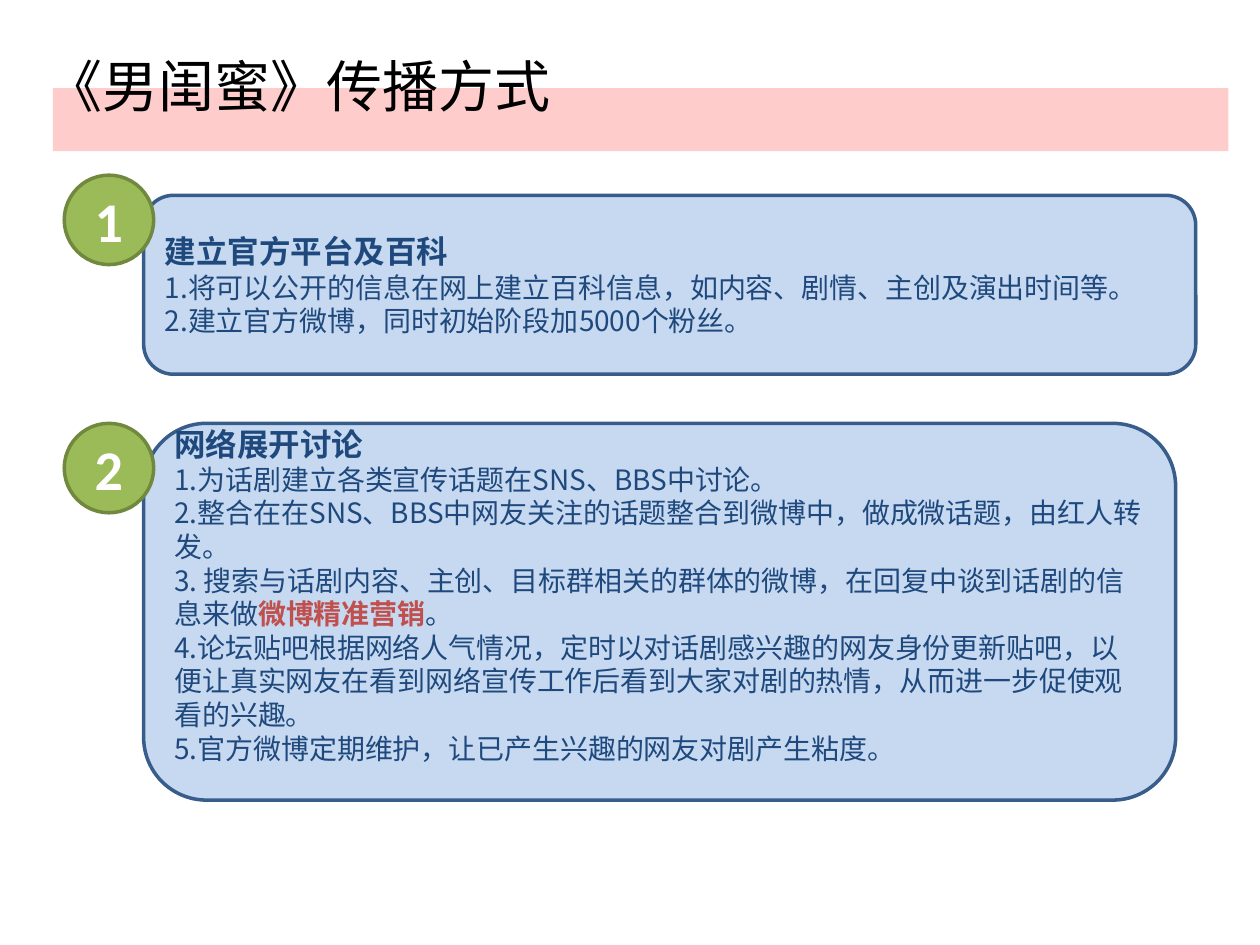
from dataclasses import dataclass

from pptx import Presentation
from pptx import util as u
from pptx.dml.color import RGBColor
from pptx.enum import shapes, text
from pptx.oxml.ns import qn


@dataclass(frozen=True)
class Theme:
    cjk: str = "Noto Sans CJK SC"
    latin: str = "Calibri"
    band: str = "FFCCCC"
    black: str = "000000"
    white: str = "FFFFFF"
    panel: str = "C6D9F1"
    panel_line: str = "385D8A"
    ink: str = "1F497D"
    accent: str = "C0504D"
    badge: str = "9BBB59"
    badge_line: str = "71893F"
    large: int = 32
    heading: int = 18
    body: int = 16
    line: int = 2


class Deck:
    """Draws styled elements on the current slide."""

    def __init__(self, theme):
        self.theme = theme
        self.prs = Presentation()
        self.prs.slide_width, self.prs.slide_height = u.Inches(10), u.Inches(7.5)
        self.s = None

    def new_slide(self):
        self.s = self.prs.slides.add_slide(self.prs.slide_layouts[5])

    def run(self, p, words, size, color, bold=False, font=None):
        r = p.add_run()
        r.text = words
        r.font.name = font or self.theme.cjk
        r.font.size = u.Pt(size)
        r.font.bold = bold
        r.font.color.rgb = RGBColor.from_string(color)
        ea = r.font._element.makeelement(qn("a:ea"), {"typeface": self.theme.cjk})
        r.font._element.find(qn("a:latin")).addnext(ea)

    def shape(self, kind, box, fill, line=None):
        sp = self.s.shapes.add_shape(kind, *map(u.Inches, box))
        sp.shadow.inherit = False
        sp.fill.solid()
        sp.fill.fore_color.rgb = RGBColor.from_string(fill)
        if line:
            sp.line.color.rgb = RGBColor.from_string(line)
            sp.line.width = u.Pt(self.theme.line)
        else:
            sp.line.fill.background()
        return sp

    def band(self, box):
        self.shape(shapes.MSO_SHAPE.RECTANGLE, box, self.theme.band)

    def title(self, words, box):
        sp = self.s.shapes.title
        sp.left, sp.top, sp.width, sp.height = map(u.Inches, box)
        self.s.shapes._spTree.append(sp._element)
        tf = sp.text_frame
        tf.word_wrap = True
        tf.margin_right = 0
        tf.auto_size = text.MSO_AUTO_SIZE.NONE
        tf.vertical_anchor = text.MSO_ANCHOR.TOP
        p = tf.paragraphs[0]
        p.alignment = text.PP_ALIGN.LEFT
        self.run(p, words, self.theme.large, self.theme.black)

    def panel(self, box, heading, items, bottom=0.05):
        t = self.theme
        sp = self.shape(shapes.MSO_SHAPE.ROUNDED_RECTANGLE, box, t.panel, t.panel_line)
        tf = sp.text_frame
        tf.word_wrap = True
        tf.vertical_anchor = text.MSO_ANCHOR.MIDDLE
        tf.margin_bottom = u.Inches(bottom)
        p = tf.paragraphs[0]
        p.alignment = text.PP_ALIGN.LEFT
        self.run(p, heading, t.heading, t.ink, True)
        for item in items:
            p = tf.add_paragraph()
            p.alignment = text.PP_ALIGN.LEFT
            for i, words in enumerate(item):
                strong = i % 2 == 1
                self.run(p, words, t.body, t.accent if strong else t.ink, strong)

    def badge(self, number, left, top, size=0.71):
        t = self.theme
        sp = self.shape(shapes.MSO_SHAPE.OVAL, (left, top, size, size), t.badge, t.badge_line)
        tf = sp.text_frame
        tf.vertical_anchor = text.MSO_ANCHOR.MIDDLE
        p = tf.paragraphs[0]
        p.alignment = text.PP_ALIGN.CENTER
        self.run(p, str(number), t.large, t.white, True, t.latin)


def main():
    deck = Deck(Theme())
    deck.new_slide()
    deck.band((0.42, 0.7, 9.33, 0.5))
    deck.title("《男闺蜜》传播方式", (0.27, 0.36, 4.3, 0.64))

    deck.panel((1.14, 1.55, 8.35, 1.42), "建立官方平台及百科", [
        ("1.将可以公开的信息在网上建立百科信息，如内容、剧情、主创及演出时间等。",),
        ("2.建立官方微博，同时初始阶段加5000个粉丝。",),
    ])
    deck.badge(1, 0.51, 1.39)

    deck.panel((1.14, 3.36, 8.19, 2.99), "网络展开讨论", [
        ("1.为话剧建立各类宣传话题在SNS、BBS中讨论。",),
        ("2.整合在在SNS、BBS中网友关注的话题整合到微博中，做成微话题，由红人转发。",),
        ("3. 搜索与话剧内容、主创、目标群相关的群体的微博，在回复中谈到话剧的信息来做",
         "微博精准营销", "。"),
        ("4.论坛贴吧根据网络人气情况，定时以对话剧感兴趣的网友身份更新贴吧，"
         "以便让真实网友在看到网络宣传工作后看到大家对剧的热情，从而进一步促使观看的兴趣。",),
        ("5.官方微博定期维护，让已产生兴趣的网友对剧产生粘度。",),
    ], bottom=0.32)
    deck.badge(2, 0.51, 3.36)

    deck.prs.save("out.pptx")


if __name__ == "__main__":
    main()
